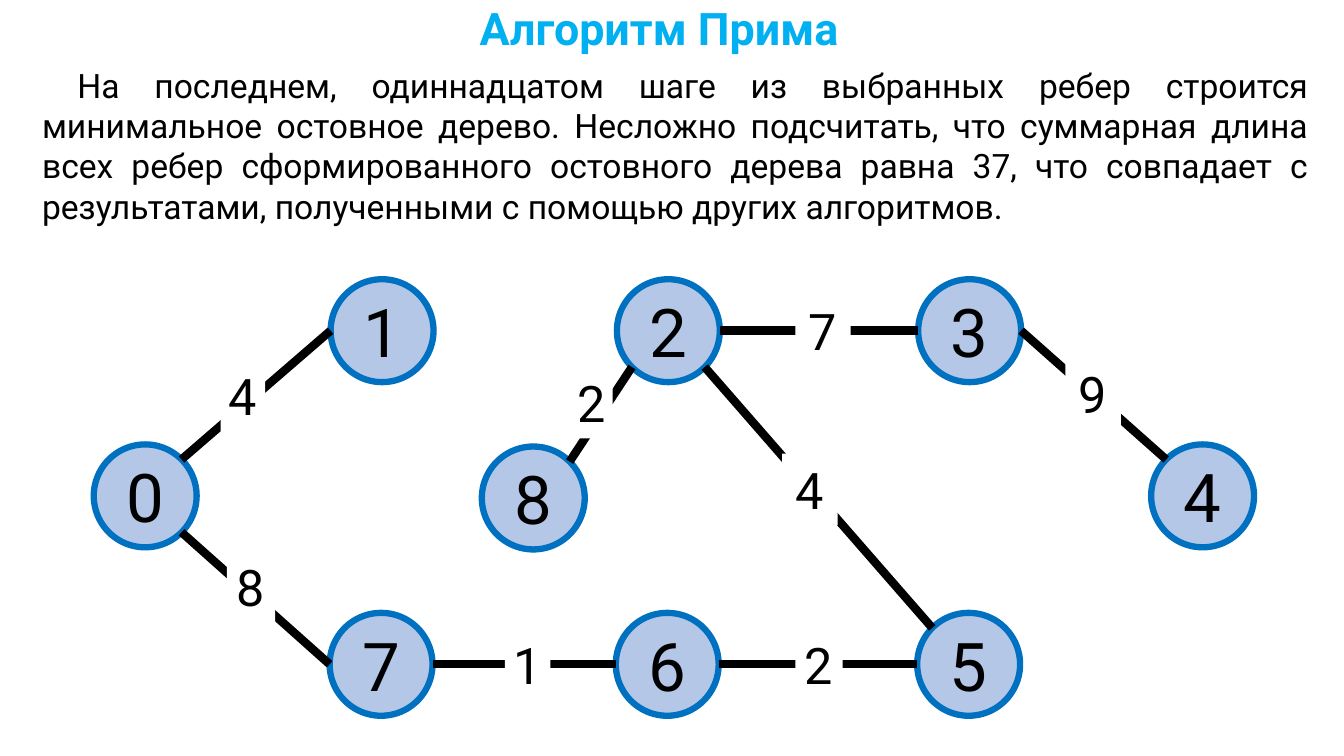
from math import sqrt

from lxml.etree import SubElement
from pptx import Presentation
from pptx.dml.color import RGBColor
from pptx.enum.shapes import MSO_CONNECTOR, MSO_SHAPE
from pptx.enum.text import MSO_ANCHOR, PP_ALIGN
from pptx.oxml.ns import qn
from pptx.util import Pt

BLACK = RGBColor(0x00, 0x00, 0x00)
WHITE = RGBColor(0xFF, 0xFF, 0xFF)
SKY = RGBColor(0x00, 0xB0, 0xF0)
BLUE = RGBColor(0x00, 0x70, 0xC0)
PALE_BLUE = RGBColor(0xB4, 0xC7, 0xE7)

TITLE = "Алгоритм Прима"
SUMMARY = (
    "На последнем, одиннадцатом шаге из выбранных ребер строится минимальное "
    "остовное дерево. Несложно подсчитать, что суммарная длина всех ребер "
    "сформированного остовного дерева равна 37, что совпадает с результатами, "
    "полученными с помощью других алгоритмов."
)

RADIUS = 36.75
TOP_ROW, MIDDLE_ROW, BOTTOM_ROW = 236.2, 354.2, 474.5
# Vertex number: centre
VERTICES = {
    1: (272.9, TOP_ROW), 2: (477.4, TOP_ROW), 3: (692.6, TOP_ROW),
    7: (272.2, BOTTOM_ROW), 6: (476.6, BOTTOM_ROW), 5: (691.9, BOTTOM_ROW),
    0: (103.7, MIDDLE_ROW), 4: (859, MIDDLE_ROW), 8: (380.9, 355.7),
}

DIAGONAL = 1 / sqrt(2)
LEFT, RIGHT = (-1, 0), (1, 0)
UPPER_LEFT, UPPER_RIGHT = (-DIAGONAL, -DIAGONAL), (DIAGONAL, -DIAGONAL)
LOWER_LEFT, LOWER_RIGHT = (-DIAGONAL, DIAGONAL), (DIAGONAL, DIAGONAL)
# Start vertex and side, end vertex and side, weight, weight's left, top, width
EDGES = [
    (2, RIGHT, 3, LEFT, 7, 568.1, 210.2, 39.6),
    (2, LOWER_RIGHT, 5, UPPER_LEFT, 4, 558.7, 324, 39.6),
    (3, RIGHT, 4, UPPER_LEFT, 9, 761, 255.6, 39.6),
    (6, RIGHT, 5, LEFT, 2, 568.1, 448.6, 33.8),
    (1, LEFT, 0, UPPER_RIGHT, 4, 157.7, 257, 31.7),
    (7, LEFT, 0, LOWER_RIGHT, 8, 162, 393.1, 34.6),
    (2, LOWER_LEFT, 8, UPPER_RIGHT, 2, 408.2, 262.1, 29.5),
    (6, LEFT, 7, RIGHT, 1, 360.7, 448.6, 32.4),
]
WEIGHT_HEIGHT = 51.1


class GraphSlide:
    font_name = "Roboto"

    def __init__(self, slide):
        self.shapes = slide.shapes

    def set_text(self, frame, text, size, color=BLACK, align=PP_ALIGN.CENTER):
        frame.word_wrap = True
        paragraph = frame.paragraphs[0]
        paragraph.text = text
        paragraph.alignment = align
        font = paragraph.font
        font.name, font.size = self.font_name, Pt(size)
        font.color.rgb = color
        return paragraph

    def text(self, left, top, width, height, text, size, **style):
        box = self.shapes.add_textbox(Pt(left), Pt(top), Pt(width), Pt(height))
        return self.set_text(box.text_frame, text, size, **style)

    def filled(self, preset, left, top, width, height, fill, text, size):
        """Add a borderless shape with its text in the middle."""
        shape = self.shapes.add_shape(preset, Pt(left), Pt(top), Pt(width), Pt(height))
        shape.shadow.inherit = False
        shape.fill.solid()
        shape.fill.fore_color.rgb = fill
        shape.line.fill.background()
        frame = shape.text_frame
        frame.vertical_anchor = MSO_ANCHOR.MIDDLE
        frame.margin_left = frame.margin_right = 0
        self.set_text(frame, text, size)
        return shape

    def vertex(self, number, x, y):
        circle = self.filled(MSO_SHAPE.OVAL, x - RADIUS, y - RADIUS, 2 * RADIUS,
                             2 * RADIUS, PALE_BLUE, str(number), 48)
        circle.line.color.rgb = BLUE
        circle.line.width = Pt(4.5)

    def edge(self, start, start_side, end, end_side):
        points = [
            Pt(centre + RADIUS * offset)
            for vertex, side in ((start, start_side), (end, end_side))
            for centre, offset in zip(VERTICES[vertex], side)
        ]
        line = self.shapes.add_connector(MSO_CONNECTOR.STRAIGHT, *points)
        line.line.color.rgb = BLACK
        line.line.width = Pt(6)
        SubElement(line._element.spPr, qn("a:effectLst"))

    def weight(self, value, left, top, width):
        self.filled(MSO_SHAPE.RECTANGLE, left, top, width, WEIGHT_HEIGHT,
                    WHITE, str(value), 36)


def main():
    presentation = Presentation()
    presentation.slide_width, presentation.slide_height = Pt(960), Pt(540)
    graph = GraphSlide(presentation.slides.add_slide(presentation.slide_layouts[6]))

    summary = graph.text(23, 42.5, 918.7, 123.8, SUMMARY, 24, align=PP_ALIGN.JUSTIFY)
    summary._p.get_or_add_pPr().set("indent", str(Pt(25.2)))
    title = graph.text(218.9, 1, 504, 42.5, TITLE, 32, color=SKY)
    title.font.bold = True
    title.line_spacing = 0.9

    for number, centre in VERTICES.items():
        graph.vertex(number, *centre)
    for start, start_side, end, end_side, *_ in EDGES:
        graph.edge(start, start_side, end, end_side)
    for *_, value, left, top, width in EDGES:
        graph.weight(value, left, top, width)

    presentation.save("out.pptx")


if __name__ == "__main__":
    main()
